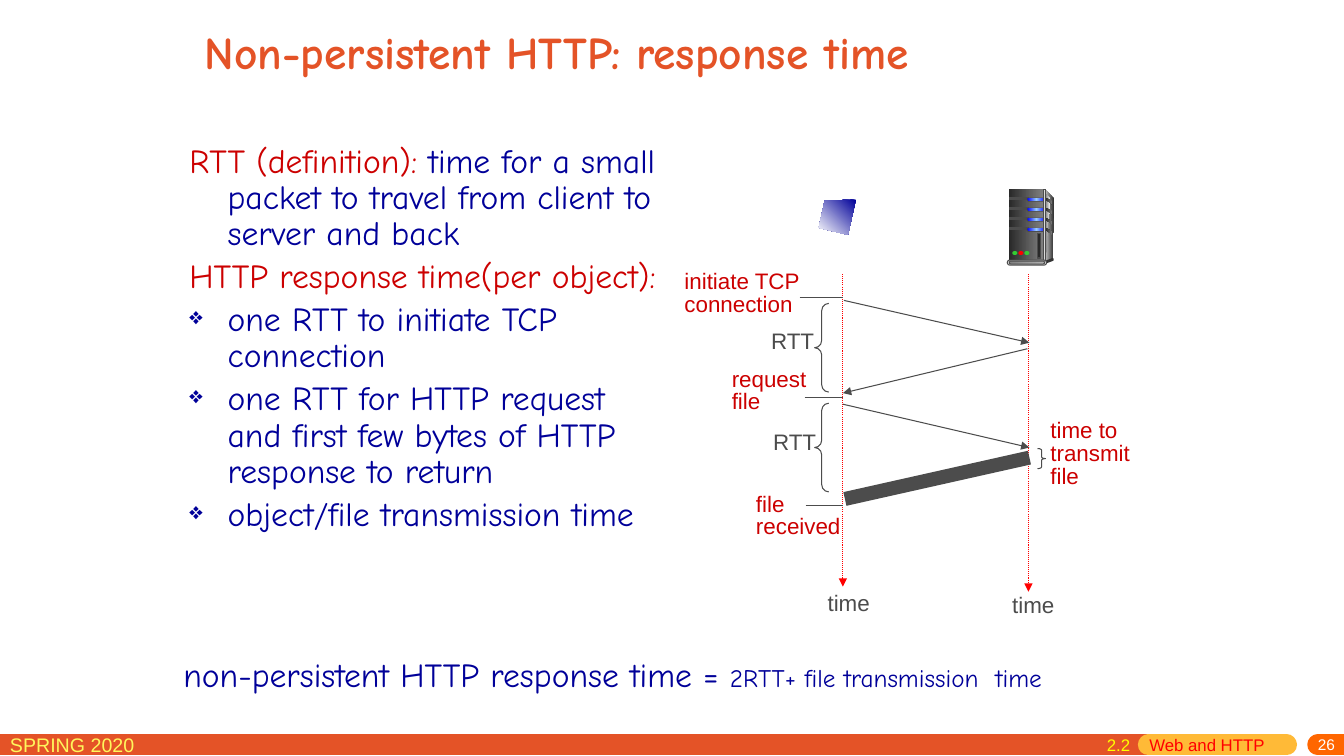
"""Builds the slide on the response time of non-persistent HTTP."""
from copy import deepcopy

from lxml import etree
from pptx import Presentation
from pptx.dml.color import RGBColor
from pptx.enum.dml import MSO_LINE
from pptx.enum.shapes import MSO_CONNECTOR, MSO_SHAPE
from pptx.enum.text import MSO_ANCHOR, MSO_AUTO_SIZE, PP_ALIGN
from pptx.oxml.ns import qn
from pptx.util import Inches, Pt

STRAIGHT = MSO_CONNECTOR.STRAIGHT
RECT, PILL, OVAL = MSO_SHAPE.RECTANGLE, MSO_SHAPE.ROUNDED_RECTANGLE, MSO_SHAPE.OVAL
LEFT_BRACE, RIGHT_BRACE = MSO_SHAPE.LEFT_BRACE, MSO_SHAPE.RIGHT_BRACE
DOTTED = MSO_LINE.ROUND_DOT
TOP, MIDDLE = MSO_ANCHOR.TOP, MSO_ANCHOR.MIDDLE
LEFT, RIGHT = PP_ALIGN.LEFT, PP_ALIGN.RIGHT
GROW, FIXED = MSO_AUTO_SIZE.SHAPE_TO_FIT_TEXT, MSO_AUTO_SIZE.NONE

ORANGE = RGBColor(0xE4, 0x53, 0x27)
AMBER = RGBColor(0xFF, 0xBA, 0x37)
VIVID = RGBColor(0xFF, 0x66, 0x00)
LEMON = RGBColor(0xFF, 0xF6, 0x5C)
YELLOW = RGBColor(0xFF, 0xFF, 0x00)
WHITE = RGBColor(0xFF, 0xFF, 0xFF)
RED = RGBColor(0xFF, 0x00, 0x00)
CRIMSON = RGBColor(0xCC, 0x00, 0x00)
NAVY = RGBColor(0x00, 0x00, 0x99)
BLUE = RGBColor(0x00, 0x00, 0xFF)
SKY = RGBColor(0x99, 0xCC, 0xFF)
GREEN = RGBColor(0x33, 0xCC, 0x33)
GRAY = RGBColor(0x4C, 0x4C, 0x4C)
BLACK = RGBColor(0x29, 0x29, 0x29)
DARK = RGBColor(0x33, 0x33, 0x33)
MEDIUM = RGBColor(0x80, 0x80, 0x80)
SILVER = RGBColor(0xB2, 0xB2, 0xB2)
PALE = RGBColor(0xDD, 0xDD, 0xDD)
SANS, HAND = "Arial", "Comic Neue"


class SlideBuilder:
    """Holds the fonts and the current slide, and draws each kind of element."""

    def __init__(self, page, sans, hand):
        self.page, self.sans, self.hand = page, sans, hand

    def add_runs(self, para, runs, size, font):
        """Add (text, colour) or (text, colour, size) runs to a paragraph."""
        for text, color, *own_size in runs:
            span = para.add_run()
            span.text = text
            span.font.name = font
            span.font.size = Pt(own_size[0] if own_size else size)
            span.font.color.rgb = color

    def title(self, text, place, size, color):
        """Move and format the title placeholder."""
        box = self.page.shapes.title
        box.left, box.top, box.width, box.height = map(Inches, place)
        frame = box.text_frame
        frame.word_wrap, frame.auto_size, frame.vertical_anchor = True, FIXED, MIDDLE
        para = frame.paragraphs[0]
        para.alignment = LEFT
        self.add_runs(para, [(text, color)], size, self.hand)
        para.runs[0].font.bold = True

    def text(self, place, lines, size, font=None, spacing=None, wrap=True,
             align=LEFT, anchor=TOP, fit=FIXED):
        """Add a text box, one list of runs for each paragraph."""
        frame = self.page.shapes.add_textbox(*map(Inches, place)).text_frame
        frame.word_wrap, frame.auto_size, frame.vertical_anchor = wrap, fit, anchor
        for index, runs in enumerate(lines):
            para = frame.add_paragraph() if index else frame.paragraphs[0]
            para.alignment = align
            if spacing:
                para.line_spacing = spacing
            self.add_runs(para, runs, size, font or self.sans)
        return frame

    def label(self, place, lines, color, spacing=0.85):
        """Add a diagram label that grows with its text."""
        runs = [[(line, color)] for line in lines]
        self.text(place, runs, 16, spacing=spacing, wrap=False, fit=GROW)

    def line(self, start, end, color=GRAY, width=0.75, dash=None, arrow=False, cap=None):
        """Add a straight line, with an arrowhead at its end if asked."""
        link = self.page.shapes.add_connector(STRAIGHT, *map(Inches, start + end))
        link.line.color.rgb, link.line.width = color, Pt(width)
        if dash:
            link.line.dash_style = dash
        outline = link._element.spPr.find(qn("a:ln"))
        if cap:
            outline.set("cap", cap)
        if arrow:
            etree.SubElement(outline, qn("a:tailEnd"), type="triangle")
        etree.SubElement(link._element.spPr, qn("a:effectLst"))

    def paint(self, shape, fill, outline=None, angle=0):
        """Give a shape a plain, gradient or empty fill, and its outline."""
        shape.shadow.inherit = False
        if isinstance(fill, list):
            shape.fill.gradient()
            shape.fill.gradient_angle = angle
            stops = shape._element.spPr.find(".//" + qn("a:gsLst"))
            while len(stops) < len(fill):
                stops.append(deepcopy(stops[0]))
            for index, stop in enumerate(shape.fill.gradient_stops):
                stop.color.rgb = fill[index]
                stop.position = index / (len(fill) - 1)
        elif fill is None:
            shape.fill.background()
        else:
            shape.fill.solid()
            shape.fill.fore_color.rgb = fill
        if outline is None:
            shape.line.fill.background()
        else:
            shape.line.color.rgb, shape.line.width = outline, Pt(0.75)

    def shape(self, kind, place, fill=None, outline=None, bend=None):
        """Add a preset shape."""
        shape = self.page.shapes.add_shape(kind, *map(Inches, place))
        if kind == PILL:
            bend = 0.5
        if bend is not None:
            shape.adjustments[0] = bend
        self.paint(shape, fill, outline)

    def polygon(self, points, fill, angle=0):
        """Add a closed outline through the points."""
        corners = [(Inches(x), Inches(y)) for x, y in points]
        builder = self.page.shapes.build_freeform(*corners[0], scale=1.0)
        builder.add_line_segments(corners[1:], close=True)
        self.paint(builder.convert_to_shape(), fill, angle=angle)

    def definitions(self, place, entries):
        """Add the hanging paragraphs, with bullets where marked."""
        frame = self.text(place, [runs for _, runs in entries], 24, self.hand, 0.9)
        for index, (para, (bulleted, _)) in enumerate(zip(frame.paragraphs, entries)):
            if index:
                para.space_before = Pt(4.8)
            props = para._p.get_or_add_pPr()
            props.set("marL", str(Inches(0.38)))
            props.set("indent", str(-Inches(0.38)))
            if bulleted:
                etree.SubElement(props, qn("a:buSzPct"), val="70000")
                etree.SubElement(props, qn("a:buChar"), char="❖")

    def footer(self):
        """Draw the bottom band with its term, section and page number."""
        for start, end, color in ((0, 11.39, ORANGE), (11.39, 12.76, AMBER),
                                  (13.07, 13.33, VIVID)):
            self.line((start, 7.39), (end, 7.39), color, 15, cap="rnd")
        self.text((0, 7.22, 2.29, 0.31), [[("SPRING 2020", LEMON)]], 14)
        number = self.text((10.75, 7.32, 2.59, 0.18), [[("26", WHITE)]], 11,
                           align=RIGHT, anchor=MIDDLE)
        number.margin_top, number.margin_bottom = 0, Inches(0.05)
        section = self.text((10.88, 7.24, 2.09, 0.31),
                            [[("2.2\t", YELLOW), ("Web and HTTP", RED)]], 12)
        tabs = etree.SubElement(section.paragraphs[0]._p.get_or_add_pPr(), qn("a:tabLst"))
        etree.SubElement(tabs, qn("a:tab"), pos=str(Inches(0.42)), algn="l")

    def server(self):
        """Draw the server tower."""
        self.polygon([(10.37, 1.88), (10.45, 1.97), (10.44, 2.56), (10.35, 2.59)],
                     [PALE, DARK])
        self.shape(RECT, (10.01, 1.88, 0.34, 0.71), [BLACK, MEDIUM])
        self.polygon([(10.37, 1.92), (10.42, 1.98), (10.39, 2.25), (10.37, 2.57)],
                     [MEDIUM, WHITE])
        for top in (1.96, 2.06, 2.16, 2.26):
            self.shape(RECT, (10.01, top, 0.19, 0.02), GRAY, GRAY)
            self.shape(PILL, (10.18, top, 0.19, 0.04), GRAY)
            self.shape(PILL, (10.19, top, 0.18, 0.03), [BLUE, SKY, BLUE])
            self.polygon([(10.37, top), (10.44, top + 0.04), (10.44, top + 0.07),
                          (10.37, top + 0.02)], [BLACK, MEDIUM])
        self.shape(RECT, (10.35, 1.88, 0.02, 0.72), [DARK, PALE, DARK], GRAY)
        self.shape(OVAL, (10.43, 2.56, 0.02, 0.03), DARK)
        self.polygon([(10.36, 2.59), (10.36, 2.62), (10.44, 2.59), (10.44, 2.56)], DARK)
        self.shape(PILL, (9.99, 2.58, 0.39, 0.05), PALE, GRAY)
        self.shape(PILL, (10.01, 2.59, 0.35, 0.03), [MEDIUM, SILVER], GRAY)
        for index, color in enumerate((GREEN, RED, GREEN)):
            self.shape(OVAL, (10.04 + 0.06 * index, 2.49, 0.05, 0.04), color)
        self.shape(RECT, (10.29, 2.32, 0.03, 0.24), BLACK, GRAY)

    def timing(self):
        """Draw the message exchange between client and server."""
        for x, bottom in ((8.36, 5.82), (10.2, 5.87)):
            self.line((x, 2.72), (x, bottom), RED, dash=DOTTED, arrow=True)
        for start, end in (((8.37, 2.98), (10.21, 3.4)), ((10.19, 3.46), (8.36, 3.9)),
                           ((8.36, 4.01), (10.21, 4.44))):
            self.line(start, end, arrow=True)
        self.line((10.21, 4.54), (8.38, 4.95), width=10)
        for left, y in ((7.93, 2.95), (7.98, 3.94), (7.99, 5.02)):
            self.line((left, y), (8.36, y))
        self.shape(RIGHT_BRACE, (10.29, 4.45, 0.08, 0.2), outline=GRAY, bend=0.2)
        for top in (3.01, 4):
            self.shape(LEFT_BRACE, (8.08, top, 0.14, 0.88), outline=GRAY, bend=0.52)
        for place, lines in (((10.32, 4.12, 1.06, 0.78), ("time to", "transmit", "file")),
                             ((6.69, 2.64, 1.35, 0.56), ("initiate TCP", "connection")),
                             ((7.16, 3.61, 0.94, 0.56), ("request", "file")),
                             ((7.4, 4.85, 1.04, 0.56), ("file", "received"))):
            self.label(place, lines, CRIMSON)
        self.label((7.55, 3.24, 0.63, 0.33), ["RTT"], GRAY)
        self.label((7.57, 4.24, 0.63, 0.33), ["RTT"], GRAY)
        self.label((8.11, 5.84, 0.62, 0.33), ["time"], GRAY)
        self.label((9.94, 5.82, 0.62, 0.37), ["time"], GRAY, None)


def main():
    """Build the deck and save it."""
    deck = Presentation()
    deck.slide_width, deck.slide_height = Inches(13.33), Inches(7.5)
    slide = SlideBuilder(deck.slides.add_slide(deck.slide_layouts[5]), SANS, HAND)
    slide.title("Non-persistent HTTP: response time", (1.93, 0, 8.99, 1.01), 32.4, ORANGE)
    slide.definitions((1.78, 1.38, 4.94, 5.08), [
        (False, [("RTT (definition):", CRIMSON),
                 (" time for a small packet to travel from client to server and back", NAVY)]),
        (False, [("HTTP response time(per object):", CRIMSON)]),
        (True, [("one RTT to initiate TCP connection", NAVY)]),
        (True, [("one RTT for HTTP request and first few bytes of HTTP response to return", NAVY)]),
        (True, [("object/file transmission time", NAVY)])])
    slide.timing()
    slide.server()
    slide.polygon([(8.49, 1.98), (8.18, 1.99), (8.12, 2.26), (8.41, 2.33)], [NAVY, WHITE], 225)
    slide.footer()
    slide.text((1.72, 6.44, 10.06, 0.5),
               [[("non-persistent HTTP response time = ", NAVY),
                 ("2RTT+ file transmission  time", NAVY, 18)]], 24, HAND, fit=GROW)
    deck.save("out.pptx")


if __name__ == "__main__":
    main()
